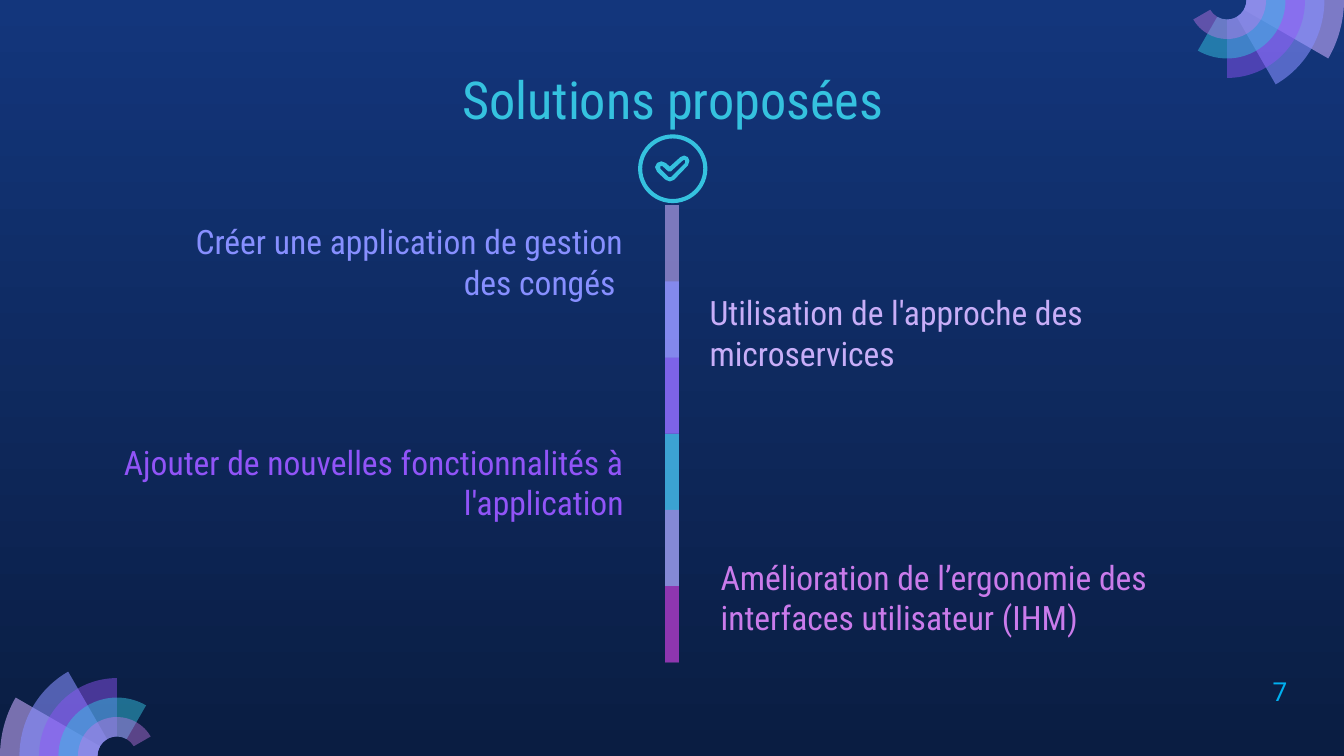
"""Build the slide of proposed solutions along a coloured vertical timeline."""
import math

import pptx
import pptx.dml.color
import pptx.enum.shapes
import pptx.enum.text
import pptx.oxml.ns
import pptx.util
from lxml import etree


class Theme:
    night_top, night_bottom = "13367C", "0A1D42"
    lilac, mauve, periwinkle = "C8ACFD", "C8AEF8", "878FFF"
    violet, cyan, orchid, purple = "9154F8", "35C2DF", "CA7BEB", "972CB4"
    number = "00B0F0"
    font, number_font = "Roboto Condensed", "Roboto"
    title_size, body_size, number_size = 28, 18, 14


def paint(shape, color, opacity=100):
    """Fill a shape with a colour of the given opacity, without line or shadow."""
    shape.shadow.inherit = False
    shape.line.fill.background()
    shape.fill.solid()
    shape.fill.fore_color.rgb = pptx.dml.color.RGBColor.from_string(color)
    if opacity < 100:
        tint = next(shape.element.spPr.iter(qn("a:srgbClr")))
        etree.SubElement(tint, qn("a:alpha"), val=str(opacity * 1000))


def write(box, text, color, size, align, anchor, font=Theme.font):
    """Put one formatted paragraph into a box."""
    frame = box.text_frame
    frame.word_wrap = True
    frame.auto_size = pptx.enum.text.MSO_AUTO_SIZE.NONE
    frame.vertical_anchor = anchor
    frame.margin_left = frame.margin_right = Cm(0.25)
    frame.margin_top = frame.margin_bottom = Cm(0.25)
    para = frame.paragraphs[0]
    para.text = text
    para.alignment = align
    para.font.name = font
    para.font.size = pptx.util.Pt(size)
    para.font.color.rgb = pptx.dml.color.RGBColor.from_string(color)


Cm = pptx.util.Cm
qn = pptx.oxml.ns.qn
Align = pptx.enum.text.PP_ALIGN
Anchor = pptx.enum.text.MSO_ANCHOR
Preset = pptx.enum.shapes.MSO_SHAPE

deck = pptx.Presentation()
deck.slide_width, deck.slide_height = Cm(25.4), Cm(14.29)
page = deck.slides.add_slide(deck.slide_layouts[5])
shapes = page.shapes

backdrop = page.background.fill
backdrop.gradient()
backdrop.gradient_angle = 270
for stop, color in zip(backdrop.gradient_stops, (Theme.night_top, Theme.night_bottom)):
    stop.color.rgb = pptx.dml.color.RGBColor.from_string(color)

petals = [(Theme.lilac, 58), (Theme.periwinkle, 58), (Theme.violet, 46),
          (Theme.cyan, 49), (Theme.orchid, 42)]
ring = Cm(2.21) / 6
for center_x, center_y, turn in [(2.21, 14.29, 180), (23.19, 0, 0)]:
    rosette = shapes.add_group_shape()
    for index, (color, opacity) in enumerate(petals):
        sweep = 30 * (index + 1)
        angles = [math.radians(turn + angle) for angle in sorted({0, min(sweep, 90), sweep})]
        corners = [(ring * (6 - index), angle) for angle in angles]
        corners += [(ring, angle) for angle in reversed(angles)]
        points = [(Cm(center_x) + radius * math.cos(angle),
                   Cm(center_y) + radius * math.sin(angle)) for radius, angle in corners]
        outline = rosette.shapes.build_freeform(*points[0])
        outline.add_line_segments(points[1:])
        petal = outline.convert_to_shape()
        edges = list(petal.element.iter(qn("a:lnTo")))
        for edge, start, end, (x0, y0), (x1, y1) in zip(
                edges, corners, corners[1:], points, points[1:]):
            if start[0] != end[0]:
                continue
            reach = start[0] * 4 / 3 * math.tan((end[1] - start[1]) / 4)
            handles = [(x0 - reach * math.sin(start[1]), y0 + reach * math.cos(start[1])),
                       (x1 + reach * math.sin(end[1]), y1 - reach * math.cos(end[1]))]
            edge.tag = qn("a:cubicBezTo")
            for place, (x, y) in enumerate(handles):
                handle = etree.Element(qn("a:pt"), x=str(round(x - petal.left)),
                                       y=str(round(y - petal.top)))
                edge.insert(place, handle)
        paint(petal, color, opacity)

title = shapes.title
title.left, title.top, title.width, title.height = Cm(6.22), Cm(1.02), Cm(13.21), Cm(1.6)
write(title, "Solutions proposées ", Theme.cyan, Theme.title_size, Align.CENTER, Anchor.TOP)

solutions = [
    ("Utilisation de l'approche des microservices", Theme.mauve, Align.LEFT,
     13.16, 6.2, 10.77, 1.1),
    ("Ajouter de nouvelles fonctionnalités à l'application", Theme.violet, Align.RIGHT,
     1.47, 7.68, 10.57, 2.44),
    ("Créer une application de gestion des congés ", Theme.periwinkle, Align.RIGHT,
     2.83, 4.08, 9.2, 1.88),
    ("Amélioration de l’ergonomie des interfaces utilisateur (IHM)", Theme.orchid, Align.LEFT,
     13.37, 10.42, 10.54, 1.88),
]
for text, color, align, *place in solutions:
    box = shapes.add_textbox(*map(Cm, place))
    write(box, text, color, Theme.body_size, align, Anchor.BOTTOM)

segments = [(Theme.mauve, 59), (Theme.periwinkle, 74), (Theme.violet, 53),
            (Theme.cyan, 76), (Theme.orchid, 56), (Theme.purple, 74)]
step = 1.44
timeline = shapes.add_group_shape()
for index, (color, opacity) in enumerate(segments):
    height = step if index == len(segments) - 1 else 2 * step
    bar = timeline.shapes.add_shape(Preset.RECTANGLE, Cm(12.57), Cm(3.88 + step * index),
                                    Cm(0.26), Cm(height))
    paint(bar, color, opacity)

badge = shapes.add_group_shape()
circle = badge.shapes.add_shape(Preset.DONUT, Cm(12.06), Cm(2.54), Cm(1.31), Cm(1.3))
circle.adjustments[0] = 0.06
paint(circle, Theme.cyan)

rim = [(12.86, 2.97), (12.93, 2.94), (13, 2.97), (13.03, 3.04), (13, 3.13), (12.74, 3.4),
       (12.66, 3.43), (12.58, 3.4), (12.42, 3.25), (12.38, 3.16), (12.42, 3.08),
       (12.5, 3.05), (12.58, 3.08), (12.66, 3.15)]
hollow = [(12.91, 3.03), (12.95, 3.03), (12.95, 3.08), (12.68, 3.35), (12.64, 3.35),
          (12.48, 3.19), (12.48, 3.14), (12.52, 3.14), (12.63, 3.24), (12.68, 3.24)]
contours = [[(Cm(x), Cm(y)) for x, y in contour] for contour in (rim, hollow)]
outline = shapes.build_freeform(*contours[0][0])
outline = badge.shapes.build_freeform(*contours[0][0])
outline.add_line_segments(contours[0][1:])
outline.move_to(*contours[1][0])
outline.add_line_segments(contours[1][1:])
paint(outline.convert_to_shape(), Theme.cyan)

number = shapes.add_textbox(Cm(23.8), Cm(12.63), Cm(0.88), Cm(0.86))
write(number, "7", Theme.number, Theme.number_size, Align.LEFT, Anchor.MIDDLE,
      Theme.number_font)

deck.save("out.pptx")
